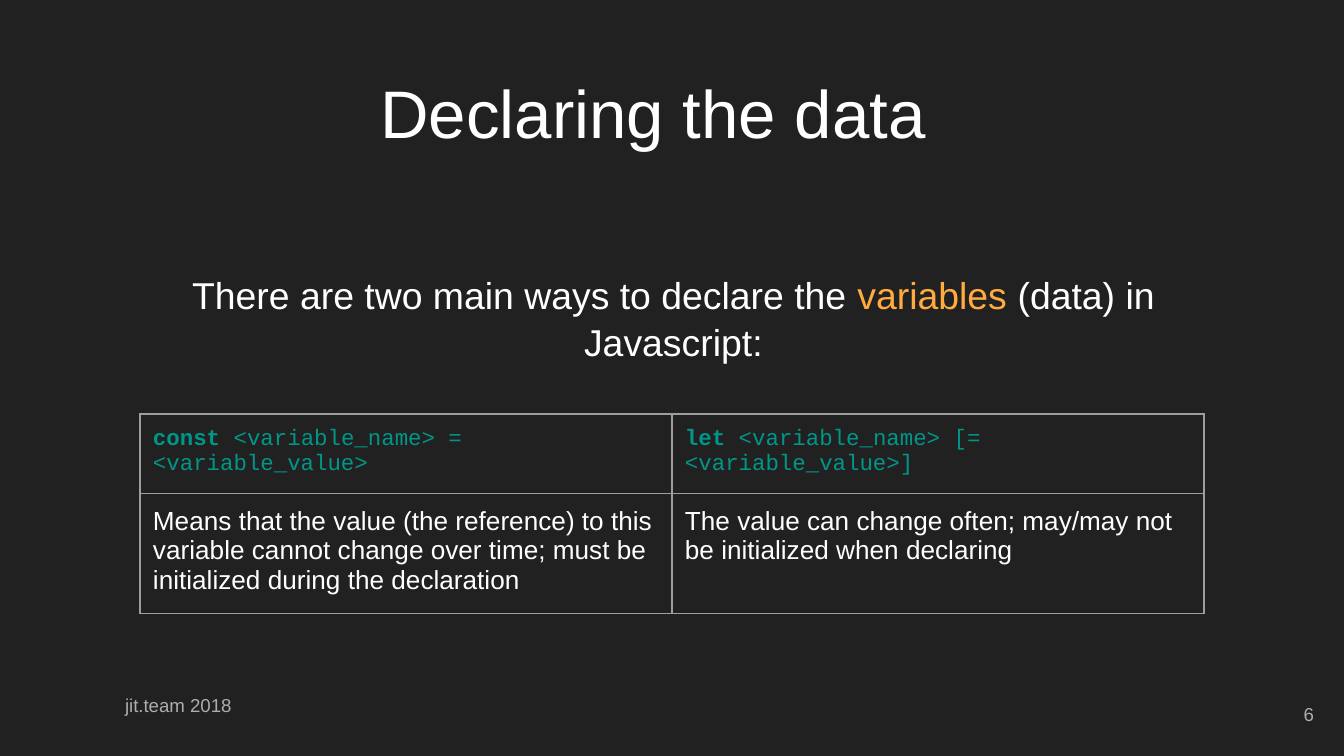
from lxml.etree import SubElement
from pptx import Presentation
from pptx.dml.color import RGBColor
from pptx.enum.text import MSO_ANCHOR as ANCHOR, MSO_AUTO_SIZE, PP_ALIGN as ALIGN
from pptx.oxml.ns import qn
from pptx.util import Emu, Pt

BACKGROUND = RGBColor(0x21, 0x21, 0x21)
WHITE = RGBColor(0xFF, 0xFF, 0xFF)
GRAY = RGBColor(0xAD, 0xAD, 0xAD)
ORANGE = RGBColor(0xFF, 0xAB, 0x40)
TEAL = RGBColor(0x00, 0x96, 0x88)
BORDER = RGBColor(0x9E, 0x9E, 0x9E)
MARGIN = 13


def px(*lengths):
    """Turn pixels into EMU, at 1344 pixels to 10 inches."""
    return [Emu(round(length * 9144000 / 1344)) for length in lengths]


def write(holder, runs, size, color, font="Arial", align=ALIGN.LEFT, anchor=ANCHOR.TOP):
    """Fill a text frame or table cell with one paragraph and return that paragraph."""
    holder.margin_left, holder.margin_top, holder.margin_right, holder.margin_bottom = px(*[MARGIN] * 4)
    holder.vertical_anchor = anchor
    frame = getattr(holder, "text_frame", holder)
    frame.word_wrap = True
    paragraph = frame.paragraphs[0]
    paragraph.alignment = align
    paragraph.font.name = font
    paragraph.font.size = Pt(size)
    paragraph.font.color.rgb = color
    for text in runs:
        paragraph.add_run().text = text
    return paragraph


prs = Presentation()
prs.slide_width, prs.slide_height = px(1344, 756)
slide = prs.slides.add_slide(prs.slide_layouts[5])
slide.background.fill.solid()
slide.background.fill.fore_color.rgb = BACKGROUND
shapes = slide.shapes

# Title
title = shapes.title
title.left, title.top, title.width, title.height = px(36, 50, 1253, 124)
title.text_frame.auto_size = MSO_AUTO_SIZE.NONE
write(title.text_frame, ["Declaring the data "], 36, WHITE,
      align=ALIGN.CENTER, anchor=ANCHOR.MIDDLE)

# Introduction
intro_box = shapes.add_textbox(*px(95, 257, 1157, 392))
intro = write(
    intro_box.text_frame,
    ["There are two main ways to declare the ", "variables ", "(data) in Javascript:"],
    20, WHITE, align=ALIGN.CENTER)
intro.line_spacing = 1.05
intro.runs[1].font.color.rgb = ORANGE

# Declarations: syntax above, meaning below
declarations = [
    ("const ", "<variable_name> = <variable_value>",
     "Means that the value (the reference) to this variable cannot change over time; "
     "must be initialized during the declaration"),
    ("let ", "<variable_name> [= <variable_value>]",
     "The value can change often; may/may not be initialized when declaring"),
]
table = shapes.add_table(2, 2, *px(140, 414, 1064, 193)).table
table.first_row = table.horz_banding = False
for row, height in zip(table.rows, px(78, 115)):
    row.height = height

for column, (keyword, syntax, meaning) in enumerate(declarations):
    declaration = write(table.cell(0, column), [keyword, syntax], 12, TEAL, "Courier New")
    declaration.runs[0].font.bold = True
    write(table.cell(1, column), [meaning], 14, WHITE)

for cell in table.iter_cells():
    properties = cell._tc.get_or_add_tcPr()
    for side in ("a:lnL", "a:lnR", "a:lnT", "a:lnB"):
        line = SubElement(properties, qn(side), w=str(Pt(0.75)))
        SubElement(SubElement(line, qn("a:solidFill")), qn("a:srgbClr"), val=str(BORDER))
    cell.fill.background()

# Footer and page number
footer = shapes.add_textbox(*px(112, 683, 660, 63))
write(footer.text_frame, ["jit.team 2018"], 10, GRAY)
page_number = shapes.add_textbox(*px(1246, 685, 81, 58))
write(page_number.text_frame, ["6"], 10, GRAY, align=ALIGN.RIGHT, anchor=ANCHOR.MIDDLE)

prs.save("out.pptx")
